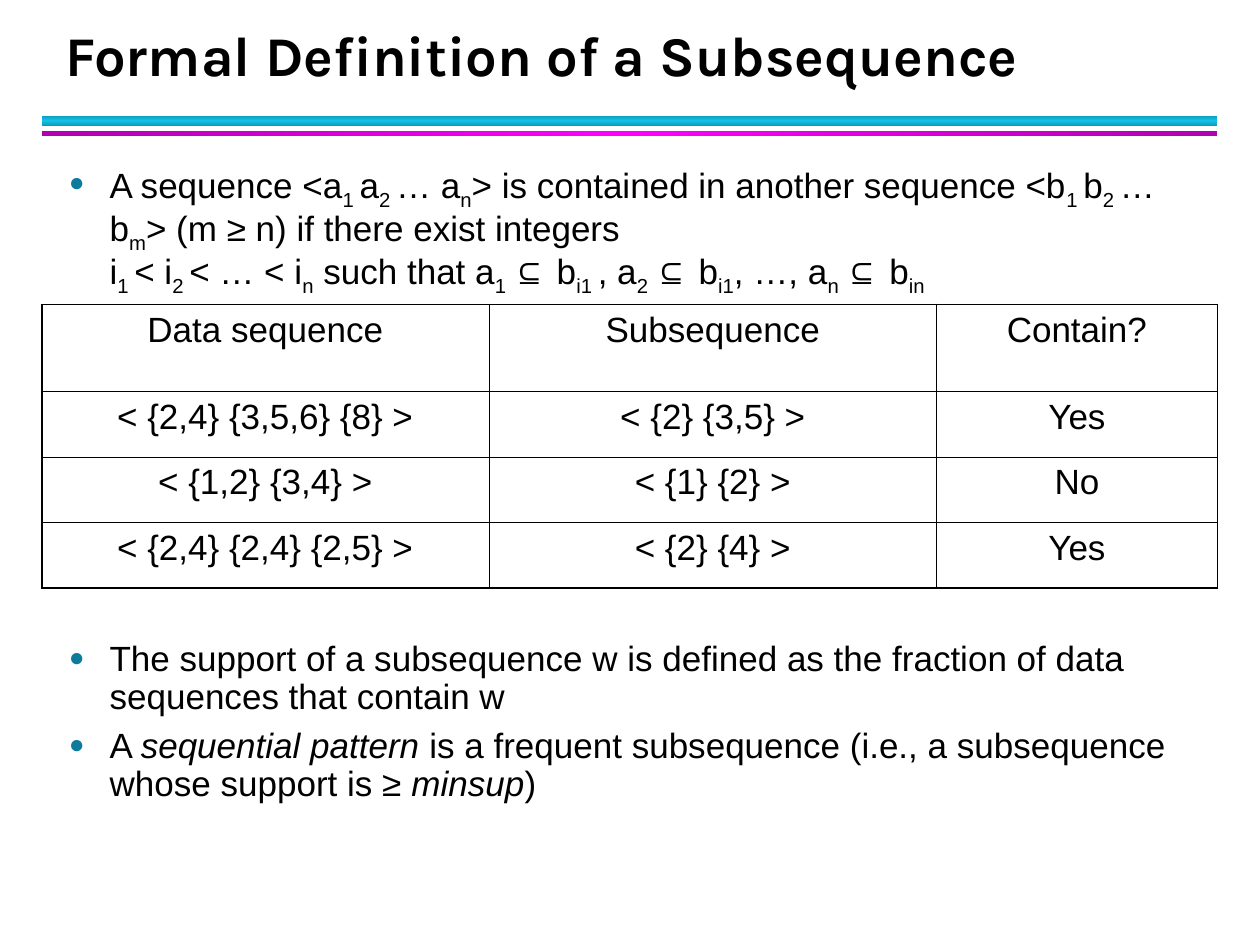
from copy import deepcopy

from lxml.etree import SubElement
from pptx import Presentation
from pptx.dml.color import RGBColor
from pptx.enum.shapes import MSO_SHAPE
from pptx.enum.text import MSO_ANCHOR, PP_ALIGN
from pptx.oxml import parse_xml
from pptx.oxml.ns import nsdecls, qn
from pptx.util import Cm, Pt

TITLE = "Formal Definition of a Subsequence"

# Every second piece between bars takes the special format of its bullet.
BULLETS = [
    ("A sequence <a|1 |a|2 |… a|n|> is contained in another sequence <b|1 |b|2 |… b|m"
     "|> (m ≥ n) if there exist integers \ni|1 |< i|2 |< … < i|n| such that a|1 "
     "|⊆ b|i1 |, a|2 |⊆ b|i1|, …, a|n |⊆ b|in", "subscript", 0),
    ("The support of a subsequence w is defined as the fraction of data "
     "sequences that contain w", None, 195),
    ("A |sequential pattern| is a frequent subsequence (i.e., a subsequence "
     "whose support is ≥ |minsup|)", "italic", 2.5),
]

TABLE = [
    ("Data sequence", "Subsequence", "Contain?"),
    ("< {2,4} {3,5,6} {8} >", "< {2} {3,5} >", "Yes"),
    ("< {1,2} {3,4} >", "< {1} {2} >", "No"),
    ("< {2,4} {2,4} {2,5} >", "< {2} {4} >", "Yes"),
]
COLUMN_WIDTHS = [9.02, 9.02, 5.66]
ROW_HEIGHTS = [1.75, 1.32, 1.32, 1.32]
LEFT, WIDTH = 0.84, 23.7

# top, height, edge colour, middle colour, angle
BARS = [
    (2.33, 0.21, "0E9AB9", "12C2E9", 90),
    (2.64, 0.11, "B100B1", "FF00FF", 0),
]


def color(value):
    return RGBColor.from_string(value)


def add_text(paragraph, text, font="Arial", size=20, bold=False, italic=False,
             subscript=False):
    for index, line in enumerate(text.split("\n")):
        if index:
            paragraph.add_line_break()
        run = paragraph.add_run()
        run.text = line
        run.font.name = font
        run.font.size = Pt(size)
        run.font.bold = bold
        run.font.italic = italic
        run.font.color.rgb = color("000000")
        if subscript:
            run.font._element.set("baseline", "-25000")


def add_bullet(paragraph):
    properties = paragraph._p.get_or_add_pPr()
    properties.set("marL", str(Cm(0.82)))
    properties.set("indent", str(-Cm(0.82)))
    bullet_color = SubElement(properties, qn("a:buClr"))
    SubElement(bullet_color, qn("a:srgbClr"), val="0C7B9C")
    SubElement(properties, qn("a:buSzPct"), val="75000")
    SubElement(properties, qn("a:buFont"), typeface="Arial")
    SubElement(properties, qn("a:buChar"), char="●")


def add_frame(slide, left, top, width, height):
    frame = slide.shapes.add_textbox(Cm(left), Cm(top), Cm(width), Cm(height)).text_frame
    frame.word_wrap = True
    return frame


def add_bar(slide, top, height, edge, middle, angle):
    bar = slide.shapes.add_shape(MSO_SHAPE.RECTANGLE, Cm(LEFT), Cm(top), Cm(WIDTH), Cm(height))
    bar.shadow.inherit = False
    bar.line.fill.background()
    bar.fill.gradient()
    bar.fill.gradient_angle = angle
    stops = bar.fill.gradient_stops
    for stop, value, position in zip(stops, (edge, middle), (0, 0.5)):
        stop.color.rgb = color(value)
        stop.position = position
    first = stops[0]._gs
    last = deepcopy(first)
    last.set("pos", "100000")
    first.getparent().append(last)


def set_borders(cell, widths):
    """Draw black cell borders; widths maps L, R, T and B to points."""
    properties = cell._tc.get_or_add_tcPr()
    for index, (side, width) in enumerate(widths.items()):
        properties.insert(index, parse_xml(
            f'<a:ln{side} {nsdecls("a")} w="{Pt(width)}"><a:solidFill>'
            f'<a:srgbClr val="000000"/></a:solidFill></a:ln{side}>'))


def add_table(slide):
    last_row, last_column = len(TABLE) - 1, len(COLUMN_WIDTHS) - 1
    table = slide.shapes.add_table(
        len(TABLE), len(COLUMN_WIDTHS), Cm(LEFT), Cm(6.14), Cm(WIDTH),
        Cm(sum(ROW_HEIGHTS))).table
    table.first_row = table.horz_banding = False
    for column, width in zip(table.columns, COLUMN_WIDTHS):
        column.width = Cm(width)
    for row_index, texts in enumerate(TABLE):
        table.rows[row_index].height = Cm(ROW_HEIGHTS[row_index])
        for column_index, text in enumerate(texts):
            cell = table.cell(row_index, column_index)
            cell.fill.background()
            paragraph = cell.text_frame.paragraphs[0]
            paragraph.alignment = PP_ALIGN.CENTER
            paragraph.space_after = Pt(4)
            add_text(paragraph, text)
            outer = {"L": column_index == 0, "R": column_index == last_column,
                     "T": row_index == 0, "B": row_index == last_row}
            set_borders(cell, {side: 1.08 if edge else 0.45 for side, edge in outer.items()})


def add_body(slide):
    frame = add_frame(slide, 1.14, 3.18, 23.11, 14.4)
    for index, (text, special, space_before) in enumerate(BULLETS):
        paragraph = frame.add_paragraph() if index else frame.paragraphs[0]
        add_bullet(paragraph)
        paragraph.line_spacing = 0.9
        paragraph.space_before = Pt(space_before)
        paragraph.space_after = Pt(4)
        for piece_index, piece in enumerate(text.split("|")):
            add_text(paragraph, piece, **({special: True} if piece_index % 2 else {}))


def main():
    presentation = Presentation()
    presentation.slide_width, presentation.slide_height = Cm(25.4), Cm(19.05)
    slide = presentation.slides.add_slide(presentation.slide_layouts[6])
    for bar in BARS:
        add_bar(slide, *bar)
    title = add_frame(slide, 1.07, 0.43, 23.01, 1.47)
    title.vertical_anchor = MSO_ANCHOR.BOTTOM
    title.paragraphs[0].line_spacing = Pt(36)
    add_text(title.paragraphs[0], TITLE, font="Karla", size=32, bold=True)
    add_body(slide)
    add_table(slide)
    presentation.save("out.pptx")


if __name__ == "__main__":
    main()
